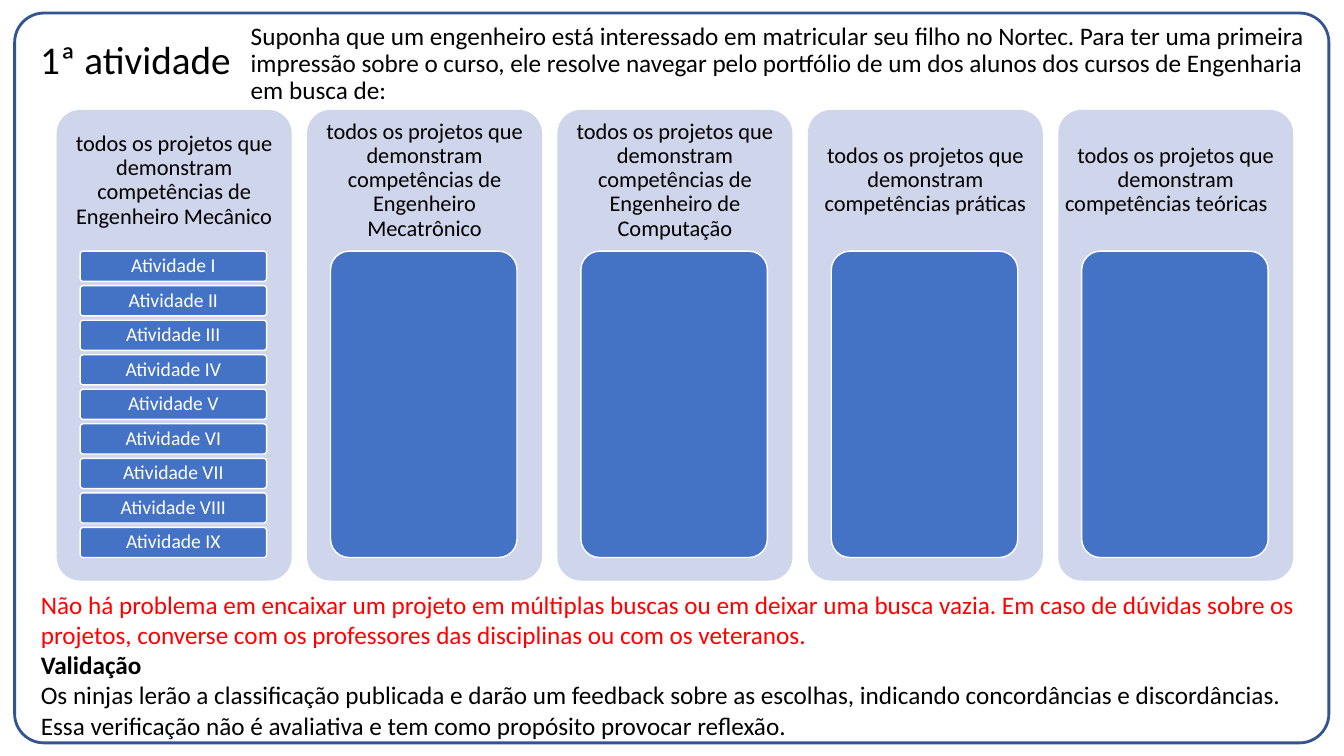
"""Build the slide of the first activity, with five search columns."""
from pptx import Presentation
from pptx import util as u
from pptx.dml.color import RGBColor
from pptx.enum import shapes, text

BLACK = RGBColor(0, 0, 0)
WHITE = RGBColor(255, 255, 255)
RED = RGBColor(255, 0, 0)
BLUE = RGBColor(0x44, 0x72, 0xC4)
PALE = RGBColor(0xCF, 0xD5, 0xEA)
NAVY = RGBColor(0x32, 0x54, 0x91)

INTRO = ("Suponha que um engenheiro está interessado em matricular seu filho no "
         "Nortec. Para ter uma primeira impressão sobre o curso, ele resolve navegar "
         "pelo portfólio de um dos alunos dos cursos de Engenharia em busca de:")
NOTES = [
    ("Não há problema em encaixar um projeto em múltiplas buscas ou em deixar uma "
     "busca vazia. Em caso de dúvidas sobre os projetos, converse com os professores "
     "das disciplinas ou com os veteranos."),
    "Validação",
    ("Os ninjas lerão a classificação publicada e darão um feedback sobre as escolhas, "
     "indicando concordâncias e discordâncias. Essa verificação não é avaliativa e tem "
     "como propósito provocar reflexão."),
]
SKILLS = ["de Engenheiro Mecânico", "de Engenheiro Mecatrônico",
          "de Engenheiro de Computação", "práticas", "teóricas\t"]
TASKS = ["I", "II", "III", "IV", "V", "VI", "VII", "VIII", "IX"]


class Deck:
    """Hold the style and the current slide."""

    font = "Calibri"

    def __init__(self, show):
        self.slide = show.slides.add_slide(show.slide_layouts[6])

    def letter(self, shape, lines, size, color=BLACK, align=text.PP_ALIGN.LEFT,
               anchor=text.MSO_ANCHOR.MIDDLE, pad=(0.25, 0.13), space=0.9):
        """Fill a shape with styled text and return its paragraphs."""
        frame = shape.text_frame
        frame.text = "\n".join(lines)
        frame.word_wrap = True
        frame.vertical_anchor = anchor
        frame.margin_left = frame.margin_right = u.Cm(pad[0])
        frame.margin_top = frame.margin_bottom = u.Cm(pad[1])
        for para in frame.paragraphs:
            para.alignment = align
            para.line_spacing = space
            for run in para.runs:
                run.font.name = self.font
                run.font.size = u.Pt(size)
                run.font.color.rgb = color
        return frame.paragraphs

    def label(self, spot, lines, size, **style):
        """Add a text box and return its paragraphs."""
        box = self.slide.shapes.add_textbox(*map(u.Cm, spot))
        return self.letter(box, lines, size, **style)

    def card(self, spot, fill=None, line=None, width=1, curve=0.1):
        """Add a rounded rectangle."""
        kind = shapes.MSO_SHAPE.ROUNDED_RECTANGLE
        card = self.slide.shapes.add_shape(kind, *map(u.Cm, spot))
        card.shadow.inherit = False
        card.adjustments[0] = curve
        if fill is None:
            card.fill.background()
        else:
            card.fill.solid()
            card.fill.fore_color.rgb = fill
        if line is None:
            card.line.fill.background()
        else:
            card.line.color.rgb = line
            card.line.width = u.Pt(width)
        return card


show = Presentation()
show.slide_width, show.slide_height = u.Cm(33.87), u.Cm(19.05)
deck = Deck(show)
mid, top = text.PP_ALIGN.CENTER, text.MSO_ANCHOR.TOP

deck.card((0.37, 0.33, 33.12, 18.39), line=NAVY, width=2, curve=0.04)
deck.label((0.76, 0.56, 5.4, 2), ["1ª atividade"], 28)
deck.label((6.07, 0.46, 27.38, 2.2), [INTRO], 18, anchor=top)

left, high, wide, step = 1.43, 2.77, 5.92, 6.31
inset, start, inner, depth = 0.59, 6.33, 4.7, 7.72
bar = 0.76
pitch = (depth - bar) / (len(TASKS) - 1)

for col, skill in enumerate(SKILLS):
    x = left + col * step
    deck.card((x, high, wide, 11.86), PALE)
    deck.label((x, high, wide, start - high),
               [f"todos os projetos que demonstram competências {skill}"], 16,
               align=mid, pad=(0.17, 0.17))
    if col:
        deck.card((x + inset, start, inner, depth), BLUE, WHITE)
        continue
    for row, task in enumerate(TASKS):
        card = deck.card((x + inset, start + row * pitch, inner, bar), BLUE, WHITE)
        deck.letter(card, [f"Atividade {task}"], 14, WHITE, mid, pad=(0.1, 0.08))

notes = deck.label((0.78, 14.71, 32.66, 4.11), NOTES, 18, anchor=top, space=1)
notes[0].runs[0].font.color.rgb = RED
notes[1].runs[0].font.bold = True

show.save("out.pptx")
